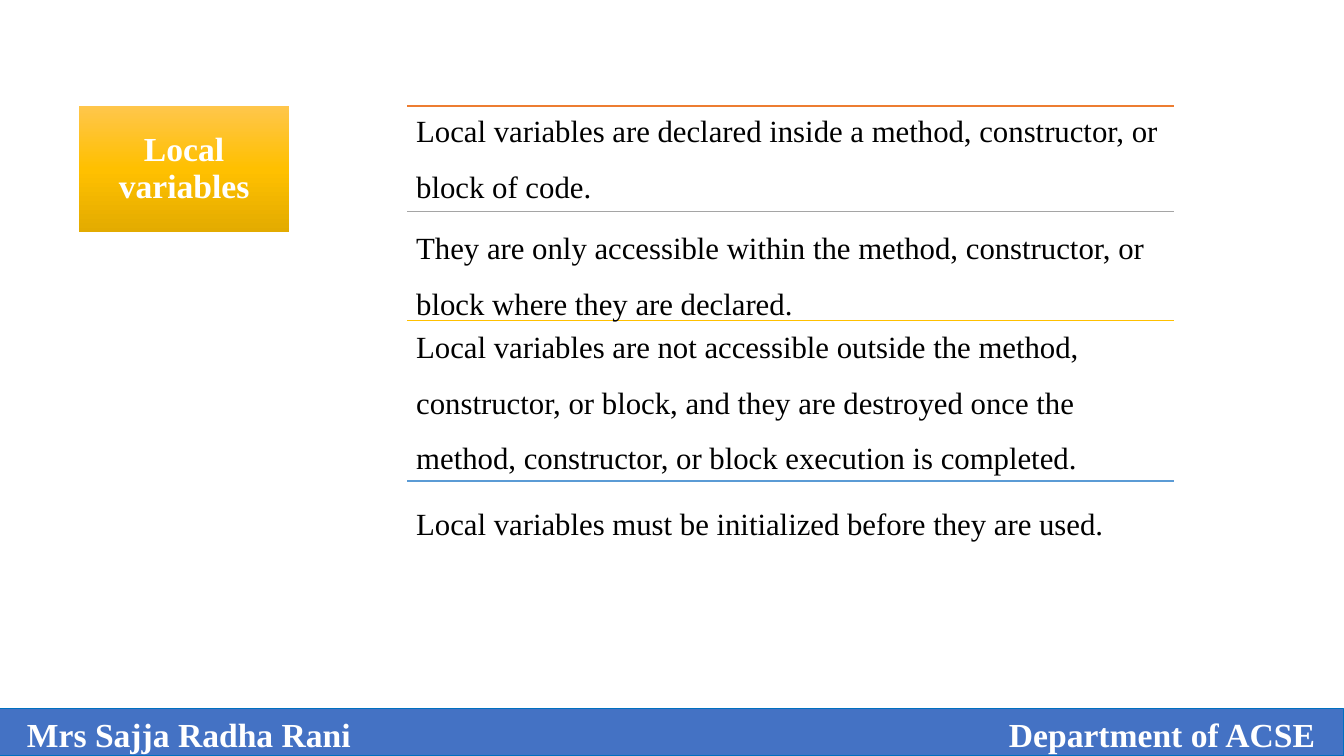
from lxml import etree
from pptx import Presentation
from pptx.dml.color import RGBColor
from pptx.enum.shapes import MSO_CONNECTOR, MSO_SHAPE
from pptx.enum.text import MSO_ANCHOR, PP_ALIGN
from pptx.oxml.ns import qn
from pptx.util import Cm, Pt

RECTANGLE = MSO_SHAPE.RECTANGLE
STRAIGHT = MSO_CONNECTOR.STRAIGHT
TOP, MIDDLE = MSO_ANCHOR.TOP, MSO_ANCHOR.MIDDLE
CENTER, LEFT = PP_ALIGN.CENTER, PP_ALIGN.LEFT

FONT = "Times New Roman"
SLIDE_WIDTH, SLIDE_HEIGHT = 33.87, 19.05
RULES_LEFT, RULES_WIDTH = 10.26, 19.32
INSET = 0.23

# Each rule: vertical position and colour
RULES = [(2.67, "ED7D31"), (5.33, "A5A5A5"), (8.08, "FFC000"), (12.12, "5B9BD5")]

# Each block: top, height and paragraphs
STATEMENTS = [
    (2.36, 2.8, ["Local variables are declared inside a method, constructor, "
                 "or block of code."]),
    (5.31, 2.8, ["They are only accessible within the method, constructor, "
                 "or block where they are declared."]),
    (7.8, 5.9, ["Local variables are not accessible outside the method, "
                "constructor, or block, and they are destroyed once the "
                "method, constructor, or block execution is completed.",
                "Local variables must be initialized before they are used."]),
]


def color(value):
    return RGBColor.from_string(value)


def set_frame(frame, anchor, left, top, right, bottom):
    frame.word_wrap = True
    frame.vertical_anchor = anchor
    frame.margin_left, frame.margin_top = Cm(left), Cm(top)
    frame.margin_right, frame.margin_bottom = Cm(right), Cm(bottom)


def style(paragraph, size, text_color, bold=False, align=LEFT, spacing=1.0):
    paragraph.alignment = align
    paragraph.line_spacing = spacing
    font = paragraph.font
    font.name, font.size, font.bold = FONT, Pt(size), bold
    font.color.rgb = color(text_color)


def add_rectangle(slide, left, top, width, height):
    rectangle = slide.shapes.add_shape(
        RECTANGLE, Cm(left), Cm(top), Cm(width), Cm(height))
    rectangle.shadow.inherit = False
    return rectangle


def set_gradient(shape, stops):
    """Fill a shape from top to bottom through (percent, colour) stops."""
    shape.fill.gradient()
    shape.fill.gradient_angle = 270
    stop_list = shape._element.spPr.find(qn("a:gradFill")).find(qn("a:gsLst"))
    for old_stop in list(stop_list):
        stop_list.remove(old_stop)
    for percent, value in stops:
        stop = etree.SubElement(stop_list, qn("a:gs"), pos=str(percent * 1000))
        etree.SubElement(stop, qn("a:srgbClr"), val=value)


def add_footer(slide, author, department):
    footer = add_rectangle(slide, 0, 17.86, SLIDE_WIDTH, 1.19)
    footer.fill.solid()
    footer.fill.fore_color.rgb = color("4472C4")
    footer.line.color.rgb = color("0070C0")
    footer.line.width = Pt(0.75)
    set_frame(footer.text_frame, TOP, 0.68, 0.13, 0.64, 0.13)
    paragraph = footer.text_frame.paragraphs[0]
    paragraph.text = f"{author}\t{department}"
    # Right tab for the department
    tabs = etree.SubElement(paragraph._p.get_or_add_pPr(), qn("a:tabLst"))
    etree.SubElement(tabs, qn("a:tab"), pos=str(Cm(32.46)), algn="r")
    style(paragraph, 24, "FFFFFF", bold=True)


def add_topic(slide, text):
    topic = add_rectangle(slide, 1.99, 2.67, 5.3, 3.18)
    set_gradient(topic, [(0, "FFC64B"), (50, "FFC000"), (100, "E3AB00")])
    topic.line.fill.background()
    set_frame(topic.text_frame, MIDDLE, INSET, INSET, INSET, INSET)
    paragraph = topic.text_frame.paragraphs[0]
    paragraph.text = text
    style(paragraph, 24, "FFFFFF", bold=True, align=CENTER, spacing=0.9)


def add_rule(slide, top, line_color):
    rule = slide.shapes.add_connector(
        STRAIGHT, Cm(RULES_LEFT), Cm(top), Cm(RULES_LEFT + RULES_WIDTH), Cm(top))
    rule.line.color.rgb = color(line_color)
    rule.line.width = Pt(1)
    etree.SubElement(rule._element.spPr, qn("a:effectLst"))


def add_statements(slide, top, height, texts):
    box = slide.shapes.add_textbox(
        Cm(RULES_LEFT), Cm(top), Cm(RULES_WIDTH), Cm(height))
    frame = box.text_frame
    set_frame(frame, TOP, INSET, 0, INSET, 0)
    for index, text in enumerate(texts):
        paragraph = frame.add_paragraph() if index else frame.paragraphs[0]
        paragraph.text = text
        paragraph.space_after = Pt(7.7)
        style(paragraph, 22, "000000", spacing=1.5)


def main():
    presentation = Presentation()
    presentation.slide_width = Cm(SLIDE_WIDTH)
    presentation.slide_height = Cm(SLIDE_HEIGHT)
    slide = presentation.slides.add_slide(presentation.slide_layouts[6])

    # Footer band
    add_footer(slide, "Mrs Sajja Radha Rani", "Department of ACSE")

    # Statements between coloured rules
    for top, line_color in RULES:
        add_rule(slide, top, line_color)
    for top, height, texts in STATEMENTS:
        add_statements(slide, top, height, texts)

    # Topic label
    add_topic(slide, "Local variables")

    presentation.save("out.pptx")


if __name__ == "__main__":
    main()
